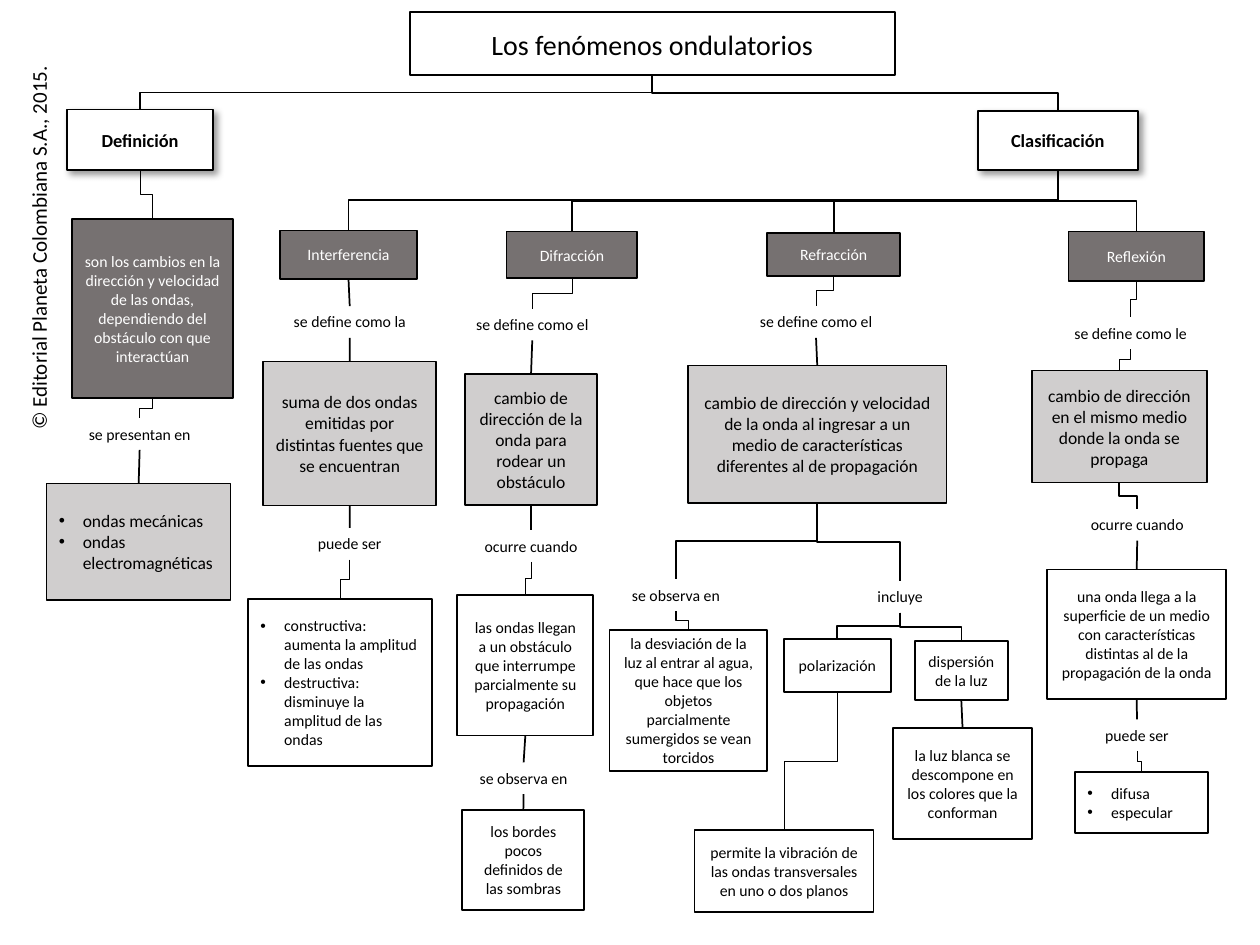
from dataclasses import dataclass

from lxml.etree import SubElement
from pptx import Presentation
from pptx.dml.color import RGBColor
from pptx.enum.shapes import MSO_CONNECTOR, MSO_SHAPE
from pptx.enum.text import MSO_ANCHOR, PP_ALIGN
from pptx.oxml.ns import qn
from pptx.util import Cm, Pt


@dataclass(frozen=True)
class Theme:
    font = "Calibri"
    black = RGBColor(0x00, 0x00, 0x00)
    white = RGBColor(0xFF, 0xFF, 0xFF)
    dark = RGBColor(0x76, 0x71, 0x71)
    grey = RGBColor(0xD0, 0xCE, 0xCE)
    thick = Pt(1)
    thin = Pt(0.5)
    label_height = 0.64
    straight_limit = Cm(0.05)


T = Theme()

# kind: fill, text colour, type size, bold
STYLES = {
    "root": (T.white, T.black, 16, False),
    "head": (T.white, T.black, 10.5, True),
    "dark": (T.dark, T.white, 9, False),
    "grey": (T.grey, T.black, 10, False),
    "white": (T.white, T.black, 9, False),
    "label": (None, T.black, 9, False),
    "credit": (None, T.black, 12, False),
}


def add_bullet(p):
    pPr = p._p.get_or_add_pPr()
    pPr.set("marL", str(Cm(0.48)))
    pPr.set("indent", str(-Cm(0.48)))
    SubElement(pPr, qn("a:buFont"), typeface="Arial")
    SubElement(pPr, qn("a:buChar"), char="•")


def add_soft_shadow(sp):
    effects = sp._element.spPr.find(qn("a:effectLst"))
    shadow = SubElement(effects, qn("a:outerShdw"), blurRad=str(Pt(4)),
                        dist=str(Pt(3)), dir="2700000", rotWithShape="0")
    color = SubElement(shadow, qn("a:srgbClr"), val=str(T.black))
    SubElement(color, qn("a:alpha"), val="40000")


def write(sp, kind, lines):
    """Several lines make a bulleted list; a single one is centred."""
    _, color, size, bold = STYLES[kind]
    tf = sp.text_frame
    for i, line in enumerate(lines):
        p = tf.paragraphs[0] if i == 0 else tf.add_paragraph()
        p.alignment = PP_ALIGN.LEFT if len(lines) > 1 else PP_ALIGN.CENTER
        if len(lines) > 1:
            add_bullet(p)
        r = p.add_run()
        r.text = line
        r.font.color.rgb = color
        for name, value in {"name": T.font, "size": Pt(size), "bold": bold}.items():
            setattr(r.font, name, value)


def add_node(s, box, kind, x, y, w, h, *lines):
    """One concept or linking phrase, placed from the corner of its box."""
    frame = [Cm(v) for v in (box[0] + x, box[1] + y, w, h)]
    fill = STYLES[kind][0]
    if fill is None:
        sp = s.shapes.add_textbox(*frame)
        sp.text_frame.word_wrap = False
    else:
        sp = s.shapes.add_shape(MSO_SHAPE.RECTANGLE, *frame)
        sp.shadow.inherit = False
        sp.fill.solid()
        sp.fill.fore_color.rgb = fill
        sp.line.color.rgb = T.black
        sp.line.width = T.thick
        sp.text_frame.word_wrap = True
        sp.text_frame.vertical_anchor = MSO_ANCHOR.MIDDLE
        if kind == "head":
            add_soft_shadow(sp)
    write(sp, kind, lines)
    return sp


def add_label(s, box, x, y, w, text):
    return add_node(s, box, "label", x, y, w, T.label_height, text)


def link(s, upper, lower, width=T.thick):
    """Join bottom centre to top centre, bending halfway if not aligned."""
    x1, y1 = upper.left + upper.width // 2, upper.top + upper.height
    x2, y2 = lower.left + lower.width // 2, lower.top
    dx, dy = x2 - x1, y2 - y1
    bent = abs(dx) > T.straight_limit
    c = s.shapes.add_connector(
        MSO_CONNECTOR.ELBOW if bent else MSO_CONNECTOR.STRAIGHT, x1, y1, x2, y2)
    c.begin_connect(upper, 2)
    c.end_connect(lower, 0)
    c.line.color.rgb = T.black
    c.line.width = width if bent else T.thick
    SubElement(c._element.spPr, qn("a:effectLst"))
    if bent:
        # A quarter turn makes the connector leave vertically
        xfrm = c._element.spPr.find(qn("a:xfrm"))
        xfrm.attrib.clear()
        xfrm.set("rot", "5400000")
        if dx > 0:
            xfrm.set("flipV", "1")
        c.width, c.height = dy, abs(dx)
        c.left = (x1 + x2 - dy) // 2
        c.top = (y1 + y2 - abs(dx)) // 2


def add_header(s, box):
    root = add_node(s, box, "root", 0, 0, 9.78, 1.27, "Los fenómenos ondulatorios")
    classes = add_node(s, box, "head", 11.45, 1.99, 3.23, 1.19, "Clasificación")
    link(s, root, classes)
    return root, classes


def add_chain(s, box, parent, items):
    """A column in which each item hangs from the one before."""
    width = T.thick
    for kind, x, y, w, h, *lines in items:
        node = add_node(s, box, kind, x, y, w, h, *lines)
        link(s, parent, node, width)
        parent = node
        width = T.thick if kind == "grey" else T.thin
    return parent


def add_refraction(s, box, parent):
    meaning = add_chain(s, box, parent, [
        ("dark", 3.18, 0, 2.67, 0.86, "Refracción"),
        ("label", 2.75, 1.47, 2.82, T.label_height, "se define como el"),
        ("grey", 1.58, 2.67, 5.21, 2.77, "cambio de dirección y velocidad de la onda al "
         "ingresar a un medio de características diferentes al de propagación"),
    ])
    seen = add_label(s, box, 0.18, 6.98, 2.31, "se observa en")
    includes = add_label(s, box, 5.13, 7.01, 1.45, "incluye")
    bending = add_node(s, box, "white", 0, 8, 3.18, 2.84, "la desviación de la luz al entrar al "
                       "agua, que hace que los objetos parcialmente sumergidos se vean torcidos")
    polar = add_node(s, box, "white", 3.51, 8.18, 2.16, 1.07, "polarización")
    scatter = add_node(s, box, "white", 6.15, 8.23, 1.88, 1.19, "dispersión de la luz")
    colors = add_node(s, box, "white", 5.72, 9.98, 2.79, 2.24,
                      "la luz blanca se descompone en los colores que la conforman")
    planes = add_node(s, box, "white", 1.71, 12.04, 3.61, 1.65,
                      "permite la vibración de las ondas transversales en uno o dos planos")
    for upper, lower in ((meaning, seen), (meaning, includes), (seen, bending),
                         (includes, polar), (includes, scatter), (scatter, colors)):
        link(s, upper, lower)
    link(s, polar, planes, T.thin)


DEFINITION = [
    ("head", 0.41, 0, 2.95, 1.22, "Definición"),
    ("dark", 0.51, 2.21, 3.25, 3.61, "son los cambios en la dirección y velocidad de las ondas, "
     "dependiendo del obstáculo con que interactúan"),
    ("label", 0.58, 6.22, 2.59, T.label_height, "se presentan en"),
    ("grey", 0, 7.54, 3.71, 2.34, "ondas mecánicas", "ondas electromagnéticas"),
]
INTERFERENCE = [
    ("dark", 0.64, 0, 2.77, 0.97, "Interferencia"),
    ("label", 0.64, 1.52, 2.82, T.label_height, "se define como la"),
    ("grey", 0.31, 2.64, 3.48, 2.9,
     "suma de dos ondas emitidas por distintas fuentes que se encuentran"),
    ("label", 1.15, 5.99, 1.8, T.label_height, "puede ser"),
    ("white", 0, 7.42, 3.71, 3.38, "constructiva: aumenta la amplitud de las ondas",
     "destructiva: disminuye la amplitud de las ondas"),
]
DIFFRACTION = [
    ("dark", 0.99, 0, 2.64, 0.94, "Difracción"),
    ("label", 0.1, 1.55, 2.82, T.label_height, "se define como el"),
    ("grey", 0.15, 2.87, 2.67, 2.64, "cambio de dirección de la onda para rodear un obstáculo"),
    ("label", 0.28, 6.02, 2.41, T.label_height, "ocurre cuando"),
    ("white", 0, 7.32, 2.74, 2.84,
     "las ondas llegan a un obstáculo que interrumpe parcialmente su propagación"),
    ("label", 0.18, 10.7, 2.31, T.label_height, "se observa en"),
    ("white", 0.1, 11.66, 2.46, 2.01, "los bordes pocos definidos de las sombras"),
]
REFLECTION = [
    ("dark", 0.74, 0, 2.74, 0.99, "Reflexión"),
    ("label", 0.54, 1.73, 2.9, T.label_height, "se define como le"),
    ("grey", 0, 2.8, 3.53, 2.26, "cambio de dirección en el mismo medio donde la onda se propaga"),
    ("label", 0.92, 5.59, 2.41, T.label_height, "ocurre cuando"),
    ("white", 0.31, 6.81, 3.61, 2.62, "una onda llega a la superficie de un medio con "
     "características distintas al de la propagación de la onda"),
    ("label", 1.22, 9.83, 1.8, T.label_height, "puede ser"),
    ("white", 0.87, 10.9, 2.69, 1.22, "difusa", "especular"),
]


def main():
    prs = Presentation()
    prs.slide_width, prs.slide_height = Cm(25.4), Cm(19.05)
    s = prs.slides.add_slide(prs.slide_layouts[6])

    # Copyright line up the left edge
    credit = add_node(s, (-3.18, 4.62), "credit", 0, 0, 7.92, 0.76,
                      "© Editorial Planeta Colombiana S.A., 2015.")
    credit.rotation = 270

    # Concept map
    root, classes = add_header(s, (8.26, 0.25))
    add_chain(s, (0.94, 2.21), root, DEFINITION)
    add_chain(s, (5, 4.65), classes, INTERFERENCE)
    add_chain(s, (9.22, 4.67), classes, DIFFRACTION)
    add_refraction(s, (12.29, 4.7), classes)
    add_chain(s, (20.8, 4.67), classes, REFLECTION)

    prs.save("out.pptx")


if __name__ == "__main__":
    main()
